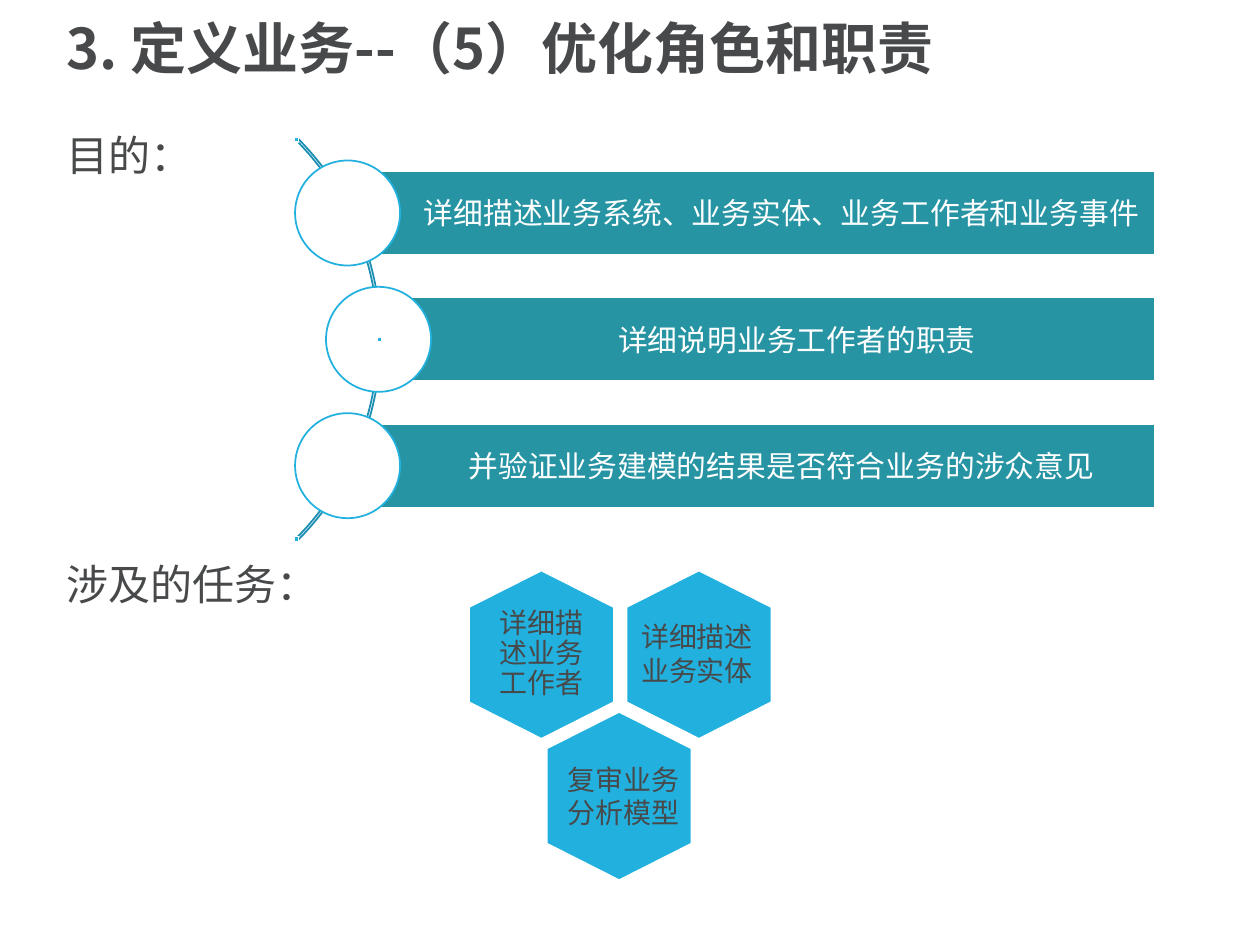
from lxml import etree
from pptx import Presentation
from pptx.dml.color import RGBColor
from pptx.enum.shapes import MSO_SHAPE
from pptx.enum.text import MSO_ANCHOR, PP_ALIGN
from pptx.oxml.ns import qn
from pptx.util import Pt

ARC, OVAL, RECTANGLE = MSO_SHAPE.BLOCK_ARC, MSO_SHAPE.OVAL, MSO_SHAPE.RECTANGLE
TOP, MIDDLE = MSO_ANCHOR.TOP, MSO_ANCHOR.MIDDLE
LEFT, CENTER = PP_ALIGN.LEFT, PP_ALIGN.CENTER
CJK, LATIN, FALLBACK = "Noto Sans CJK SC", "Calibri", "DejaVu Sans"
GRAY, WHITE, BLUE, TEAL, DARK_BLUE = "47494B", "FFFFFF", "22B1DE", "2794A4", "1B8EB2"

TITLE_FORMAT = {"size": Pt(32), "name": CJK, "bold": True}
HEADING_FORMAT = {"size": Pt(24), "name": CJK}
PURPOSES = [
    (198.6, "详细描述业务系统、业务实体、业务工作者和业务事件", CJK),
    (216.3, "详细说明业务工作者的职责", LATIN),
    (198.6, "并验证业务建模的结果是否符合业务的涉众意见", LATIN),
]
TASKS = [
    (358, 326, "详细描述业务实体", FALLBACK, (1.3, 24.5)),
    (268, 326, "详细描述业务工作者", LATIN, None),
    (312.4, 406.8, "复审业务分析模型", LATIN, (5, 25.2)),
]


def color(value):
    """Turn a hex string into a colour."""
    return RGBColor.from_string(value)


def paint(shape, fill, line):
    """Give a shape its fill and a one-point outline, without shadow."""
    shape.shadow.inherit = False
    if fill:
        shape.fill.solid()
        shape.fill.fore_color.rgb = color(fill)
    else:
        shape.fill.background()
    shape.line.color.rgb = color(line)
    shape.line.width = Pt(1)


def write(shape, text, font, ink=GRAY, align=LEFT, anchor=TOP, spacing=1.0, insets=(7.2, 3.6, 7.2, 3.6)):
    """Write one formatted paragraph into a shape."""
    frame = shape.text_frame
    frame.word_wrap = True
    frame.vertical_anchor = anchor
    for side, inset in zip(("left", "top", "right", "bottom"), insets):
        setattr(frame, f"margin_{side}", Pt(inset))
    para = frame.paragraphs[0]
    para.alignment = align
    para.line_spacing = spacing
    span = para.add_run()
    span.text = text
    for key, value in font.items():
        setattr(span.font, key, value)
    span.font.color.rgb = color(ink)
    east_asian = etree.SubElement(span.font._element, qn("a:ea"))
    east_asian.set("typeface", font["name"])


def add_label(page, box, text, font, **layout):
    """Add a text box at the given box."""
    label = page.shapes.add_textbox(*map(Pt, box))
    write(label, text, font, **layout)


def add_preset(page, kind, box, fill, line):
    """Add a painted preset shape at the given box."""
    shape = page.shapes.add_shape(kind, *map(Pt, box))
    paint(shape, fill, line)
    return shape


def add_purposes(page, box):
    """Draw the arc and the rows of circles and bars inside the box."""
    left, top, width, height = box
    circle, bar_height, dot, arc_size = 60, 48, 2.8, 326
    right, middle, step = left + width, top + height / 2, 72.2
    arc_box = (217.5 - arc_size, middle - arc_size / 2, arc_size, arc_size)
    arc = add_preset(page, ARC, arc_box, None, DARK_BLUE)
    for index, value in enumerate((189, 27, 0.0044)):
        arc.adjustments[index] = value
    for index, (center, text, font_name) in enumerate(PURPOSES):
        row = middle + (index - 1) * step
        bar_box = (center, row - bar_height / 2, right - center, bar_height)
        bar = add_preset(page, RECTANGLE, bar_box, TEAL, WHITE)
        write(bar, text, {"size": Pt(17), "name": font_name}, ink=WHITE, align=CENTER,
              anchor=MIDDLE, insets=(38.2, 3.6, 3.6, 3.6))
        circle_box = (center - circle / 2, row - circle / 2, circle, circle)
        add_preset(page, OVAL, circle_box, WHITE, BLUE)
    for index, x in enumerate((left, 215.3, left)):
        y = middle + (index - 1) * height / 2 - dot / 2
        add_preset(page, RECTANGLE, (x, y, dot, dot), BLUE, WHITE)


def add_task(page, box, text, font_name, label_offset):
    """Draw a hexagon with its text inside, or in a label at an offset."""
    left, top, width, height = box
    shoulder = 20.9
    outline = [(0.5, 0), (1, shoulder), (1, height - shoulder),
               (0.5, height), (0, height - shoulder), (0, shoulder)]
    points = [(Pt(left + x * width), Pt(top + y)) for x, y in outline]
    builder = page.shapes.build_freeform(*points[0])
    builder.add_line_segments(points[1:])
    hexagon = builder.convert_to_shape()
    paint(hexagon, BLUE, WHITE)
    font = {"size": Pt(16), "name": font_name}
    if label_offset:
        x, y = label_offset
        add_label(page, (left + x, top + y, 81.4, 46), text, font)
    else:
        write(hexagon, text, font, align=CENTER, anchor=MIDDLE, spacing=0.9,
              insets=(15.8, 18.7, 15.8, 18.7))


def main():
    """Build and save the slide."""
    deck = Presentation()
    deck.slide_width, deck.slide_height = Pt(720), Pt(540)
    page = deck.slides.add_slide(deck.slide_layouts[6])
    add_label(page, (31, 4.3, 651.6, 50.4), "3. 定义业务--（5）优化角色和职责",
              TITLE_FORMAT, anchor=MIDDLE, spacing=0.9)
    for top, text in ((70.6, "目的："), (315.4, "涉及的任务：")):
        add_label(page, (31, top, 190, 42), text, HEADING_FORMAT)
    for left, top, text, font_name, label_offset in TASKS:
        add_task(page, (left, top, 82.8, 96.2), text, font_name, label_offset)
    add_purposes(page, (167.8, 79.8, 492.2, 228.2))
    deck.save("out.pptx")


if __name__ == "__main__":
    main()
